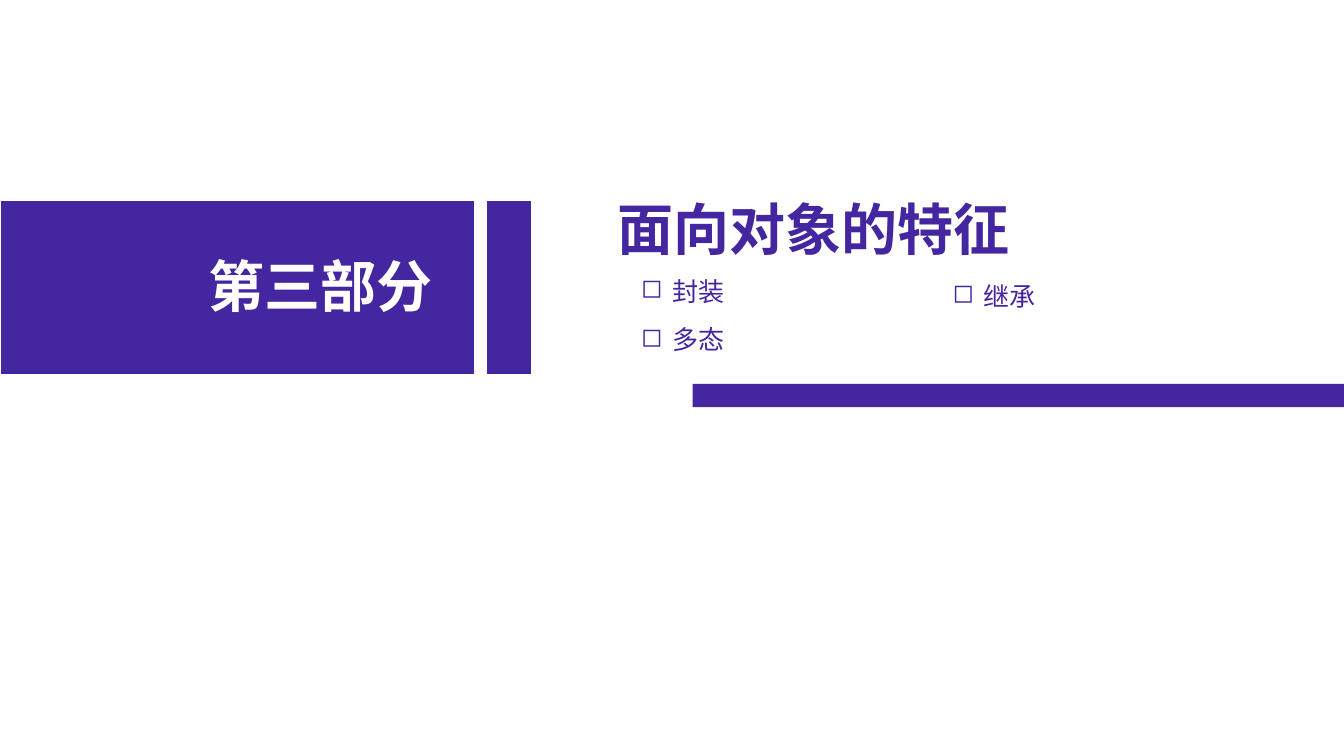
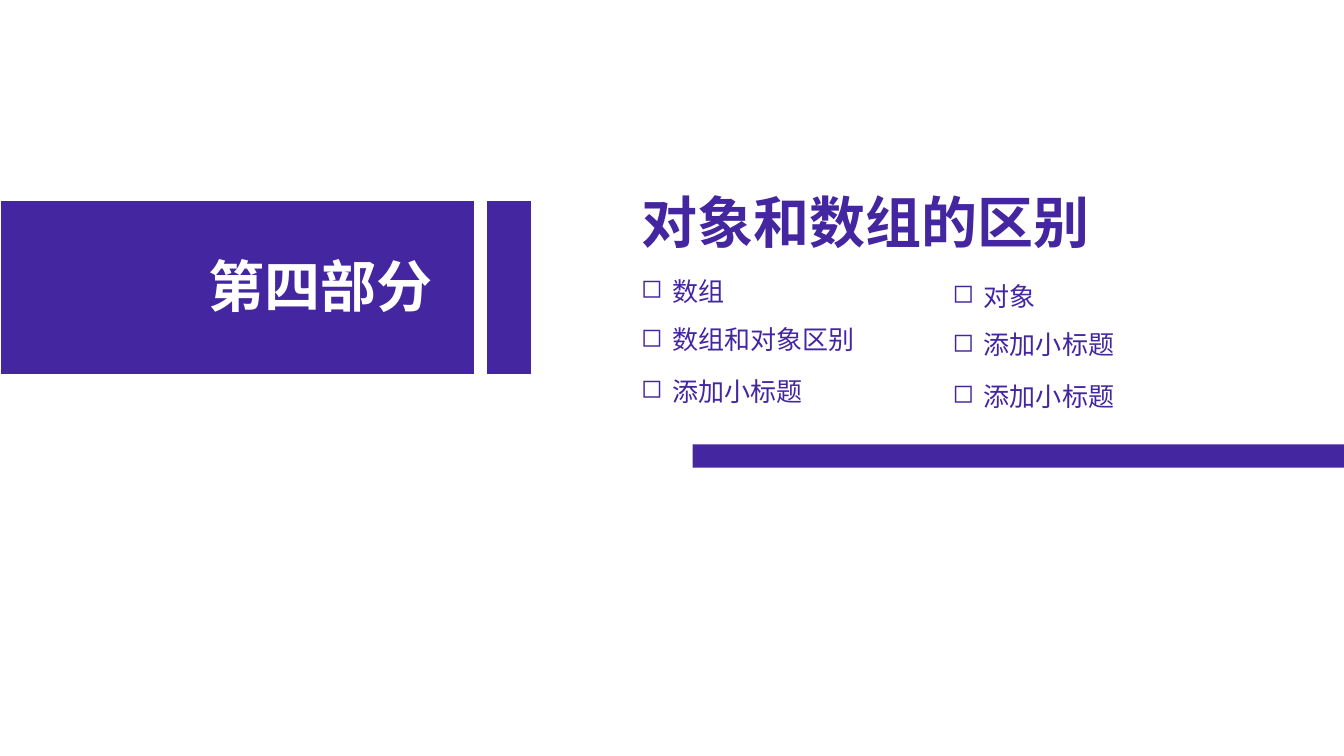
import pptx
import pptx.util
import pptx.dml.color
import pptx.enum.shapes
import pptx.enum.text
import pptx.oxml.ns
import lxml.etree

# Content: one entry per section slide
parts = [
    {"part": "第三部分", "title": "面向对象的特征", "at": (600, 188),
     "cols": [["封装", "多态"], ["继承"]], "bar": 381},
    {"part": "第四部分", "title": "对象和数组的区别", "at": (624, 181),
     "cols": [["数组", "数组和对象区别", "添加小标题"],
              ["对象", "添加小标题", "添加小标题"]], "bar": 441},
]

# Theme and shared layout, in px
theme = {
    "font": "Noto Sans CJK SC",
    "main": pptx.dml.color.RGBColor.from_string("4426A0"),
    "back": pptx.dml.color.RGBColor.from_string("FFFFFF"),
    "head": 40,
    "item": 18.6,
}
scale = 9144
wide, high = 1333, 750
panels = [(0, 471), (482, 45)]
top, tall = 199, 173
label = (197, 244)
starts = [(626, 268), (935, 273)]
rows = [0, 48, 99]
left, thick = 687, 23
indent = 31


def px(num):
    return pptx.util.Emu(num * scale)


def place(shape, x, y, w, h):
    shape.left, shape.top, shape.width, shape.height = map(px, (x, y, w, h))


def block(slide, x, y, w, h, edge=False):
    shape = slide.shapes.add_shape(
        pptx.enum.shapes.MSO_SHAPE.RECTANGLE, px(x), px(y), px(w), px(h))
    shape.shadow.inherit = False
    shape.fill.solid()
    shape.fill.fore_color.rgb = theme["main"]
    if edge:
        shape.line.color.rgb = theme["back"]
        shape.line.width = pptx.util.Pt(1)
    else:
        shape.line.fill.background()


def write(shape, text, size, color, bold=False, align="LEFT"):
    frame = shape.text_frame
    frame.text = text
    frame.word_wrap = False
    frame.auto_size = pptx.enum.text.MSO_AUTO_SIZE.NONE
    frame.vertical_anchor = pptx.enum.text.MSO_ANCHOR.MIDDLE
    para = frame.paragraphs[0]
    para.alignment = getattr(pptx.enum.text.PP_ALIGN, align)
    font = para.runs[0].font
    font.name, font.size, font.bold = theme["font"], pptx.util.Pt(size), bold
    font.color.rgb = color
    # East Asian text needs its own typeface entry
    props = para.runs[0].font._element
    face = lxml.etree.SubElement(props, pptx.oxml.ns.qn("a:ea"))
    face.set("typeface", theme["font"])
    return para


def heading(shape, text, at, color, align="LEFT"):
    place(shape, *at, 56 * len(text) + 21, 77)
    write(shape, text, theme["head"], color, True, align)


def item(slide, text, x, y):
    box = slide.shapes.add_textbox(0, 0, 0, 0)
    place(box, x, y, 26 * len(text) + 52, 41)
    para = write(box, text, theme["item"], theme["main"])
    props = para._p.get_or_add_pPr()
    props.set("marL", str(px(indent)))
    props.set("indent", str(-px(indent)))
    mark = lxml.etree.SubElement(props, pptx.oxml.ns.qn("a:buChar"))
    mark.set("char", "◻")


def build(deck, part):
    slide = deck.slides.add_slide(deck.slide_layouts[5])
    # Section panel and its label
    for x, w in panels:
        block(slide, x, top, w, tall, edge=True)
    box = slide.shapes.add_textbox(0, 0, 0, 0)
    heading(box, part["part"], label, theme["back"])
    # Title and bulleted columns
    heading(slide.shapes.title, part["title"], part["at"],
            theme["main"], "CENTER")
    for (x, y), texts in zip(starts, part["cols"]):
        for text, row in zip(texts, rows):
            item(slide, text, x, y + row)
    # Closing bar
    block(slide, left, part["bar"], wide - left, thick)


def main():
    deck = pptx.Presentation()
    deck.slide_width, deck.slide_height = px(wide), px(high)
    for part in parts:
        build(deck, part)
    deck.save("out.pptx")


if __name__ == "__main__":
    main()
